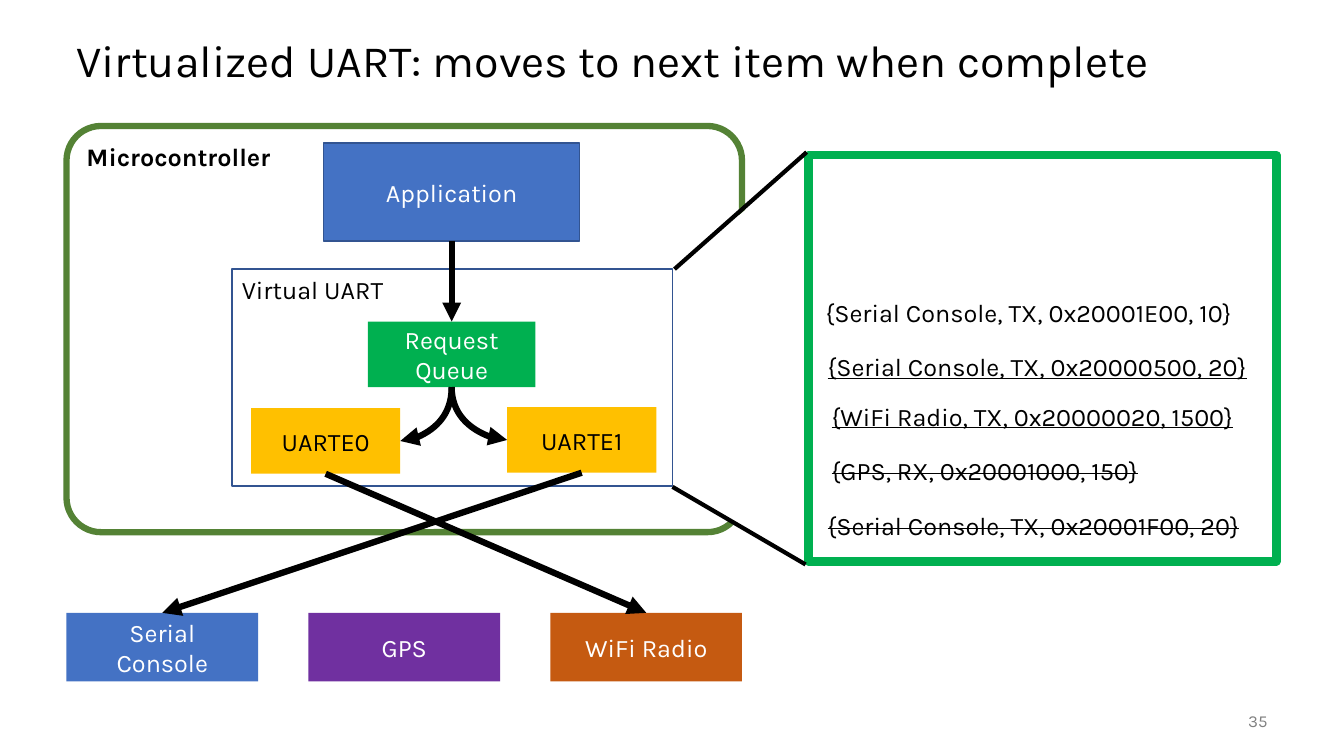
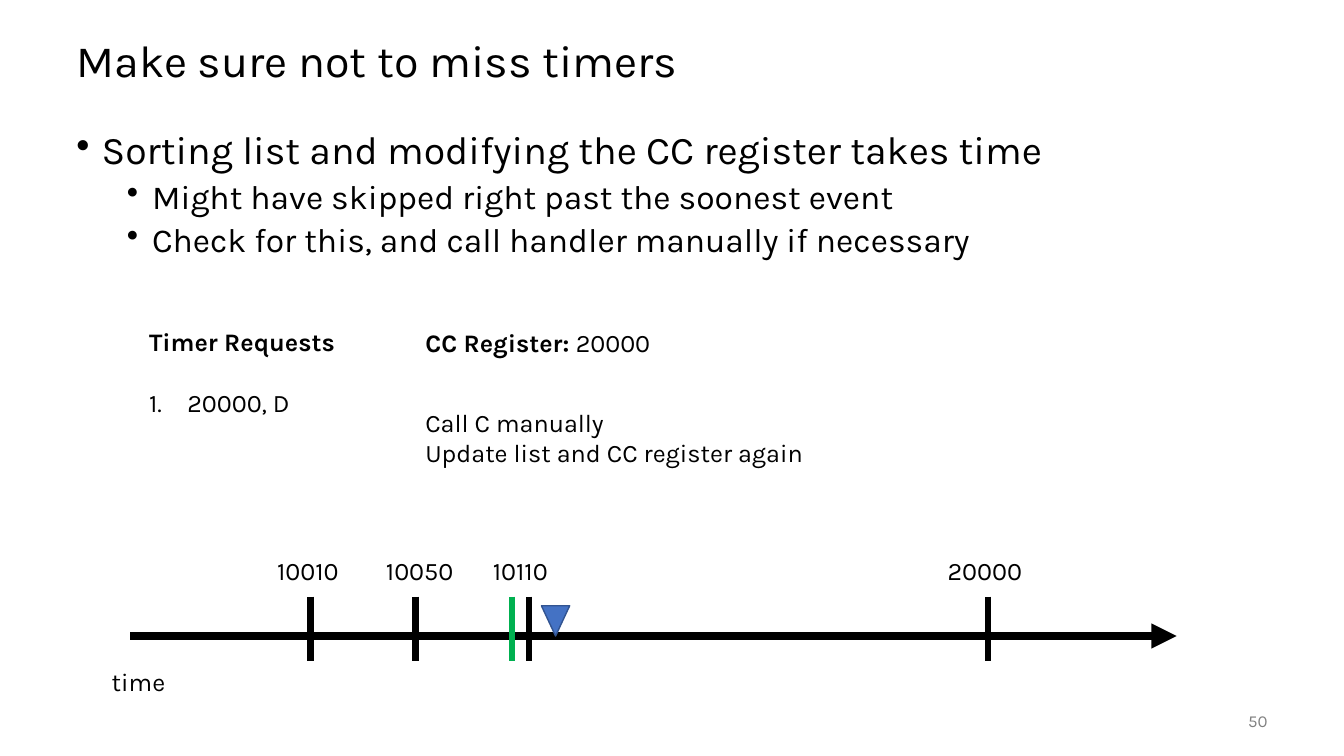
"""Build two slides: a virtualized UART diagram and a timer timeline."""
import dataclasses

import lxml.etree
import pptx
import pptx.dml.color
import pptx.enum.shapes
import pptx.enum.text
import pptx.oxml.ns
import pptx.util


@dataclasses.dataclass(frozen=True)
class Theme:
    font: str = "Karla"
    black: str = "000000"
    white: str = "FFFFFF"
    gray: str = "808080"
    blue: str = "4472C4"
    navy: str = "325491"
    purple: str = "7030A0"
    orange: str = "C55A11"
    amber: str = "FFC000"
    green: str = "00B050"
    olive: str = "548235"
    title: int = 32
    bullet: int = 28
    subbullet: int = 24
    label: int = 18
    number: int = 12
    arrow: float = 4.5


theme = Theme()
px = 9144
rgb = pptx.dml.color.RGBColor.from_string
qn = pptx.oxml.ns.qn
Shape = pptx.enum.shapes.MSO_SHAPE
Connector = pptx.enum.shapes.MSO_CONNECTOR
Align = pptx.enum.text.PP_ALIGN
Anchor = pptx.enum.text.MSO_ANCHOR


def add_box(slide, frame, paragraphs=(), preset=None, fill=None, line=None, width=1,
            adjust=None, rotation=0, anchor=Anchor.TOP, align=Align.LEFT):
    """Add a text box or preset shape; each paragraph is (runs, formats, bullet)."""
    frame = [length * px for length in frame]
    if preset is None:
        shape = slide.shapes.add_textbox(*frame)
    else:
        shape = slide.shapes.add_shape(preset, *frame)
        shape.shadow.inherit = False
        shape.rotation = rotation
        if adjust is not None:
            shape.adjustments[0] = adjust
        for part, color in ((shape.fill, fill), (shape.line.fill, line)):
            if color is None:
                part.background()
            else:
                part.solid()
                part.fore_color.rgb = rgb(color)
        if line is not None:
            shape.line.width = pptx.util.Pt(width)
    text_frame = shape.text_frame
    text_frame.word_wrap = True
    text_frame.vertical_anchor = anchor
    for index, (runs, formats, bullet) in enumerate(paragraphs):
        paragraph = text_frame.add_paragraph() if index else text_frame.paragraphs[0]
        for name, value in {"alignment": align, **formats}.items():
            setattr(paragraph, name, value)
        if bullet:
            indent, hanging, tag, attributes = bullet
            properties = paragraph._p.get_or_add_pPr()
            properties.set("marL", str(indent * px))
            properties.set("indent", str(-hanging * px))
            lxml.etree.SubElement(properties, qn(tag), attributes)
        for text, size, color, *styles in runs:
            for line_index, piece in enumerate(text.split("\n")):
                if line_index:
                    paragraph.add_line_break()
                run = paragraph.add_run()
                run.text = piece
                run.font.color.rgb = rgb(color)
                values = {"name": theme.font, "size": pptx.util.Pt(size),
                          "bold": "bold" in styles, "underline": "underline" in styles}
                for name, value in values.items():
                    setattr(run.font, name, value)
                if "strike" in styles:
                    run._r.get_or_add_rPr().set("strike", "sngStrike")
    return shape


def add_line(slide, start, end, width, color=theme.black, arrow=None, curved=False):
    """Join two points, or two (shape, side) pairs, with a line."""
    joined = not isinstance(start[0], int)
    points = (0, 0, 0, 0) if joined else [length * px for length in (*start, *end)]
    kind = Connector.CURVE if curved else Connector.STRAIGHT
    connector = slide.shapes.add_connector(kind, *points)
    if joined:
        connector.begin_connect(*start)
        connector.end_connect(*end)
    connector.line.color.rgb = rgb(color)
    connector.line.width = pptx.util.Pt(width)
    properties = connector._element.spPr
    if curved:
        properties.find(qn("a:prstGeom")).set("prst", "curvedConnector2")
    if arrow:
        lxml.etree.SubElement(properties.find(qn("a:ln")), qn(arrow), type="triangle")
    lxml.etree.SubElement(properties, qn("a:effectLst"))


presentation = pptx.Presentation()
presentation.slide_width = 1333 * px
presentation.slide_height = 750 * px

slides = []
for title, number in (("Virtualized UART: moves to next item when complete", "35"),
                      ("Make sure not to miss timers", "50")):
    slide = presentation.slides.add_slide(presentation.slide_layouts[6])
    add_box(slide, (66, 25, 1200, 75),
            [([(title, theme.title, theme.black)], {"line_spacing": 0.9}, None)],
            anchor=Anchor.MIDDLE)
    add_box(slide, (1167, 695, 100, 40), [([(number, theme.number, theme.gray)], {}, None)],
            anchor=Anchor.MIDDLE, align=Align.RIGHT)
    slides.append(slide)
uart_slide, timer_slide = slides

for frame, name, preset, color, width, adjust, style in (
        ((66, 125, 670, 403), "Microcontroller", Shape.ROUNDED_RECTANGLE,
         theme.olive, 4.5, 0.085, "bold"),
        ((230, 267, 437, 215), "Virtual UART", Shape.RECTANGLE, theme.navy, 1, None, "plain")):
    add_box(uart_slide, frame, [([(name, theme.label, theme.black, style)], {}, None)],
            preset=preset, line=color, width=width, adjust=adjust)

blocks = {}
for name, frame, fill, color, line in (
        ("Serial\nConsole", (66, 608, 190, 68), theme.blue, theme.white, None),
        ("GPS", (306, 608, 190, 68), theme.purple, theme.white, None),
        ("WiFi Radio", (546, 608, 190, 68), theme.orange, theme.white, None),
        ("UARTE0", (249, 405, 148, 65), theme.amber, theme.black, None),
        ("UARTE1", (503, 404, 148, 65), theme.amber, theme.black, None),
        ("Request Queue", (365, 319, 166, 65), theme.green, theme.white, None),
        ("Application", (321, 142, 254, 97), theme.blue, theme.white, theme.navy)):
    blocks[name] = add_box(uart_slide, frame, [([(name, theme.label, color)], {}, None)],
                           preset=Shape.RECTANGLE, fill=fill, line=line,
                           anchor=Anchor.MIDDLE, align=Align.CENTER)

add_box(uart_slide, (802, 154, 464, 403), preset=Shape.RECTANGLE, line=theme.green, width=6)
for frame, adjust in (((608, 370, 275, 100), 0.58), ((591, 263, 275, 100), 0.834)):
    add_box(uart_slide, frame, preset=Shape.TRAPEZOID, fill=theme.white,
            adjust=adjust, rotation=270)
for start, end in (((667, 483), (799, 560)), ((669, 267), (800, 151))):
    add_line(uart_slide, start, end, 3)

for source, source_side, target, target_side, arrow, curved in (
        ("UARTE0", 3, "Request Queue", 2, "a:headEnd", True),
        ("UARTE1", 1, "Request Queue", 2, "a:headEnd", True),
        ("Application", 2, "Request Queue", 0, "a:tailEnd", False),
        ("UARTE0", 2, "WiFi Radio", 0, "a:tailEnd", False),
        ("UARTE1", 2, "Serial\nConsole", 0, "a:tailEnd", False)):
    add_line(uart_slide, (blocks[source], source_side), (blocks[target], target_side),
             theme.arrow, arrow=arrow, curved=curved)

for left, top, request, style in (
        (809, 290, "{Serial Console, TX, 0x20001E00, 10}", "plain"),
        (811, 344, "{Serial Console, TX, 0x20000500, 20}", "underline"),
        (815, 393, "{WiFi Radio, TX, 0x20000020, 1500}", "underline"),
        (815, 447, "{GPS, RX, 0x20001000, 150}", "strike"),
        (811, 501, "{Serial Console, TX, 0x20001F00, 20}", "strike")):
    add_box(uart_slide, (left, top, 439, 40),
            [([(request, theme.label, theme.black, style)], {}, None)])

bullets = []
for text, size, level, indent, space in (
        ("Sorting list and modifying the CC register takes time", theme.bullet, 0, 25, 14),
        ("Might have skipped right past the soonest event", theme.subbullet, 1, 75, 5),
        ("Check for this, and call handler manually if necessary", theme.subbullet, 1, 75, 5)):
    bullets.append(([(text, size, theme.black)],
                    {"level": level, "line_spacing": 0.9, "space_before": pptx.util.Pt(space)},
                    (indent, 25, "a:buChar", {"char": "•"})))
add_box(timer_slide, (66, 125, 1200, 550), bullets)

add_box(timer_slide, (138, 319, 255, 101), [
    ([("Timer Requests", theme.label, theme.black, "bold")], {}, None),
    ([("20000, D", theme.label, theme.black)], {"space_before": pptx.util.Pt(22)},
     (38, 38, "a:buAutoNum", {"type": "arabicPeriod"}))])
add_box(timer_slide, (412, 320, 255, 40), [
    ([("CC Register: ", theme.label, theme.black, "bold"),
      ("20000", theme.label, theme.black)], {}, None)])
add_box(timer_slide, (412, 399, 487, 71), [
    ([(text, theme.label, theme.black)], {}, None)
    for text in ("Call C manually", "Update list and CC register again")])

add_line(timer_slide, (129, 631), (1167, 631), 6, arrow="a:tailEnd")
for tick, color in ((308, theme.black), (412, theme.black), (525, theme.black),
                    (980, theme.black), (508, theme.green)):
    add_line(timer_slide, (tick, 592), (tick, 656), 4.5, color)
for left, top, width, text in ((265, 546, 101, "10010"), (373, 546, 101, "10050"),
                               (479, 546, 101, "10110"), (930, 546, 101, "20000"),
                               (101, 656, 220, "time")):
    add_box(timer_slide, (left, top, width, 40),
            [([(text, theme.label, theme.black)], {}, None)])
add_box(timer_slide, (537, 601, 28, 30), preset=Shape.ISOSCELES_TRIANGLE,
        fill=theme.blue, line=theme.navy, rotation=180)

presentation.save("out.pptx")
